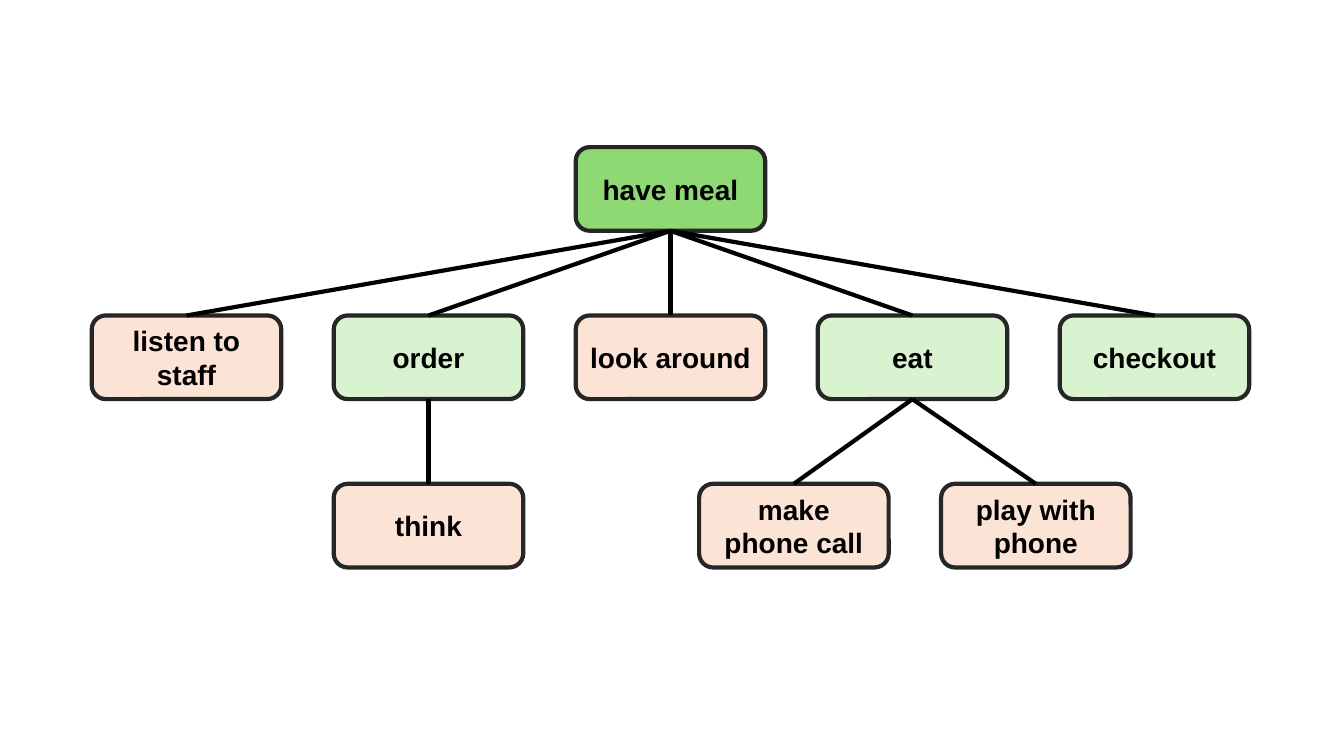
from lxml import etree
from pptx import Presentation
from pptx import util as u
from pptx.dml.color import RGBColor
from pptx.enum import shapes, text
from pptx.oxml.ns import qn

COLORS = {"root": "8ED973", "step": "D9F2D0", "side": "FBE3D6",
          "border": "262626", "ink": "000000"}
FONT = {"name": "Arial", "size": u.Pt(20), "bold": True}
TREE = [
    ("have meal", 2, 0, "root", None),
    ("listen to staff", 0, 1, "side", "have meal"),
    ("order", 1, 1, "step", "have meal"),
    ("look around", 2, 1, "side", "have meal"),
    ("eat", 3, 1, "step", "have meal"),
    ("checkout", 4, 1, "step", "have meal"),
    ("think", 1, 2, "side", "order"),
    ("make phone call", 2.51, 2, "side", "eat"),
    ("play with phone", 3.51, 2, "side", "eat"),
]


class TreeSlide:
    """Draws boxes and links of a tree on a grid of columns and rows."""

    left, top = 0.91, 1.46
    col_step, row_step = 2.4, 1.67
    box_w, box_h = 1.88, 0.83
    top_site, bottom_site = 0, 2

    def __init__(self, prs):
        self.s = prs.slides.add_slide(prs.slide_layouts[6])

    def color(self, key):
        return RGBColor.from_string(COLORS[key])

    def line(self, sp, key):
        sp.line.color.rgb = self.color(key)
        sp.line.width = u.Pt(3)

    def box(self, label, col, row, fill):
        sp = self.s.shapes.add_shape(
            shapes.MSO_SHAPE.ROUNDED_RECTANGLE,
            u.Inches(self.left + col * self.col_step),
            u.Inches(self.top + row * self.row_step),
            u.Inches(self.box_w), u.Inches(self.box_h))
        sp.shadow.inherit = False
        sp.fill.solid()
        sp.fill.fore_color.rgb = self.color(fill)
        self.line(sp, "border")
        tf = sp.text_frame
        tf.word_wrap = True
        tf.vertical_anchor = text.MSO_ANCHOR.MIDDLE
        p = tf.paragraphs[0]
        p.alignment = text.PP_ALIGN.CENTER
        r = p.add_run()
        r.text = label
        for name, value in FONT.items():
            setattr(r.font, name, value)
        r.font.color.rgb = self.color("ink")
        return sp

    def link(self, parent, child):
        cx = self.s.shapes.add_connector(shapes.MSO_CONNECTOR.STRAIGHT, 0, 0, 0, 0)
        cx.begin_connect(parent, self.bottom_site)
        cx.end_connect(child, self.top_site)
        self.line(cx, "ink")
        etree.SubElement(cx.element.spPr, qn("a:effectLst"))


def main():
    prs = Presentation()
    prs.slide_width, prs.slide_height = u.Inches(13.33), u.Inches(7.5)
    tree = TreeSlide(prs)
    boxes = {label: tree.box(label, col, row, fill)
             for label, col, row, fill, _ in TREE}
    for label, _, _, _, parent in TREE:
        if parent:
            tree.link(boxes[parent], boxes[label])
    prs.save("out.pptx")


if __name__ == "__main__":
    main()
